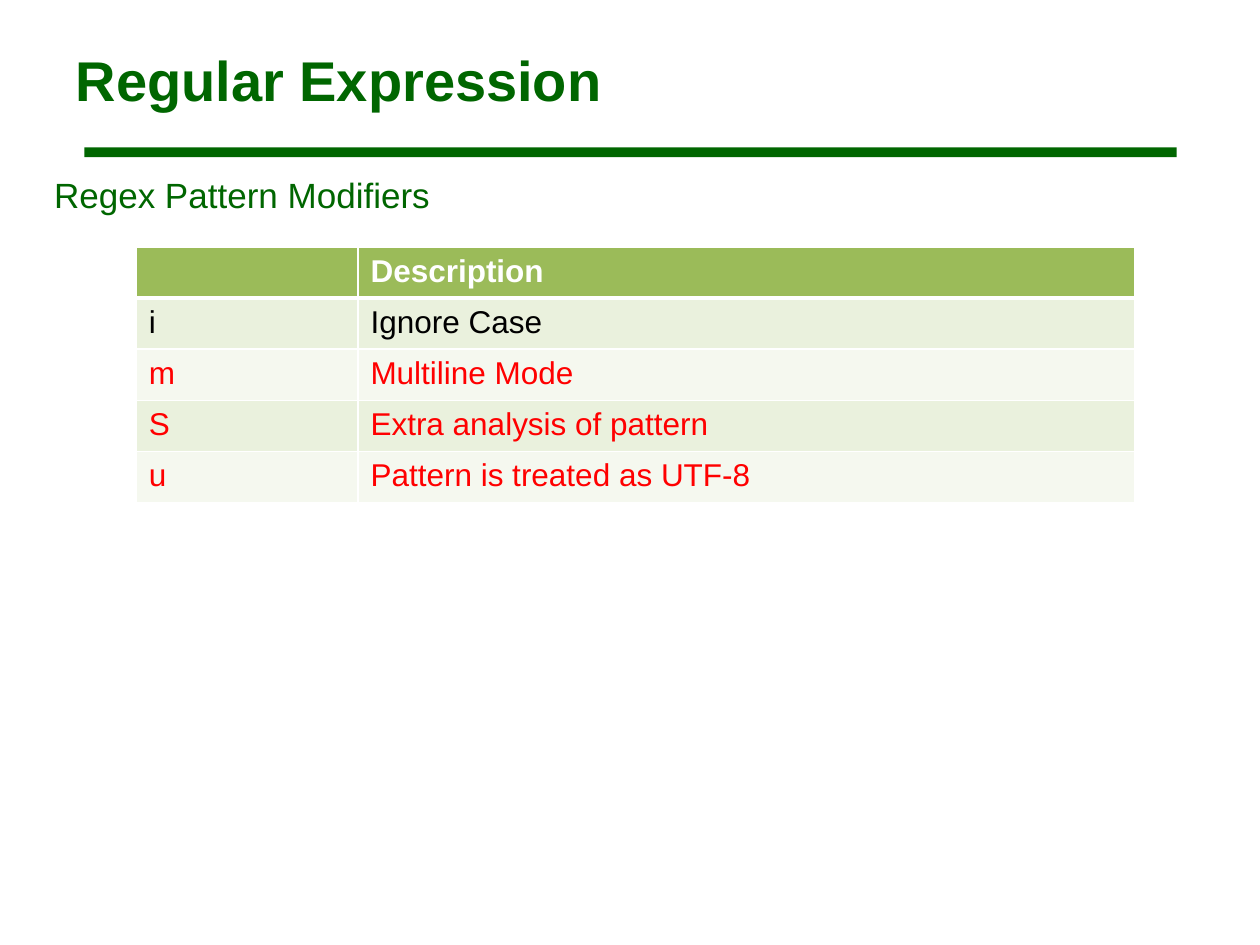
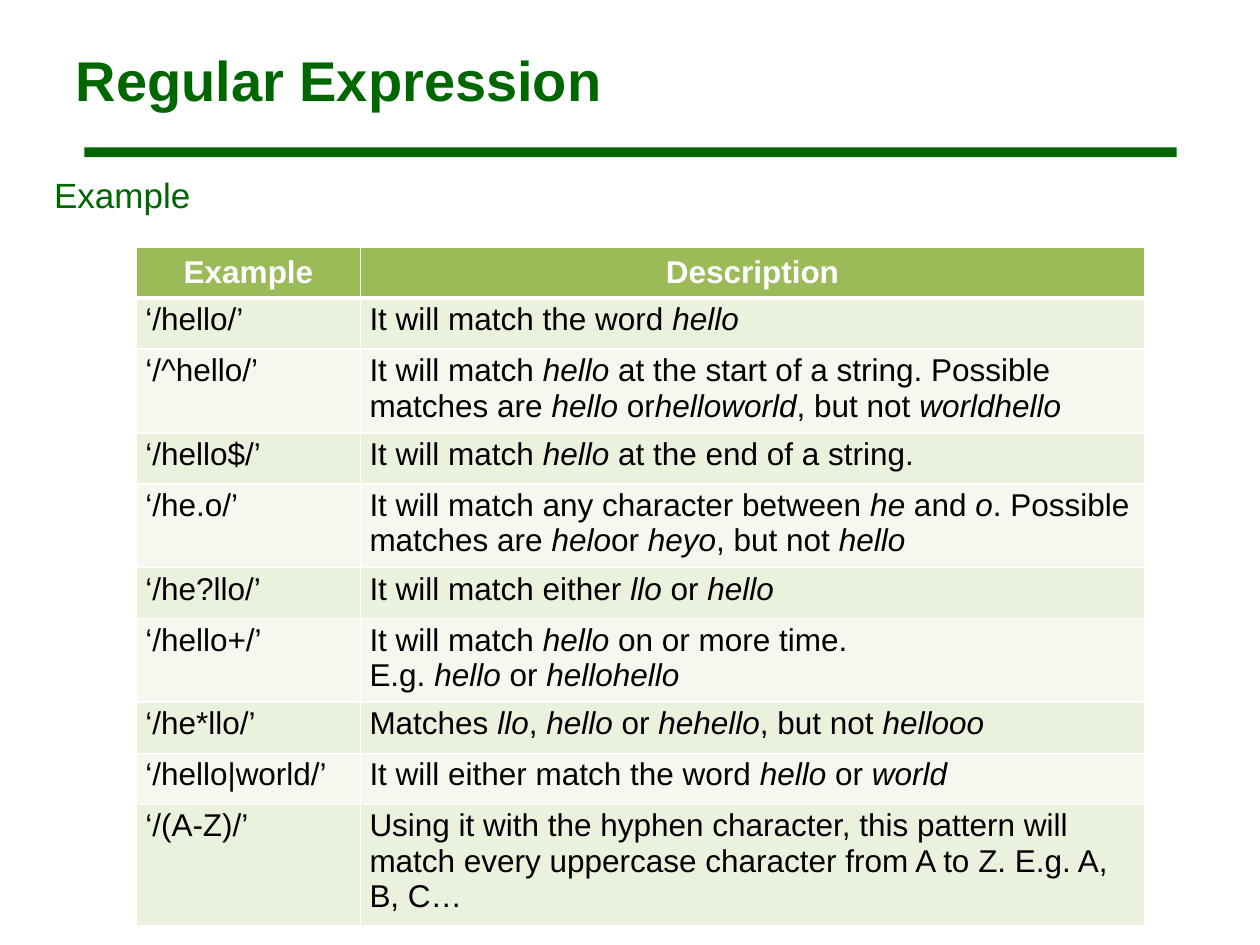
from lxml import etree
from pptx import Presentation
from pptx import util as u
from pptx.dml.color import RGBColor
from pptx.enum import shapes, text
from pptx.oxml.ns import qn

FONT = "Arial"
GREEN, WHITE, BLACK, RED = "006600", "FFFFFF", "000000", "FF0000"
HEADER, BANDS = "9BBB59", ("EAF1DD", "F5F8EF")
ROW_HEIGHT = 1.03
TITLE_BOX = (1.27, 0.43, 22.86, 2.34)
BAR_BOX = (1.7, 2.97, 22.02, 0.2)
HEADING_BOX = (0.84, 3.38, 14.4, 1.27)
TABLE_ORIGIN = (2.75, 4.98)

MODIFIERS = [
    ("", "Description"),
    ("i", "Ignore Case"),
    ("m", "Multiline Mode"),
    ("S", "Extra analysis of pattern"),
    ("u", "Pattern is treated as UTF-8"),
]
EXAMPLES = [
    ("Example", "Description"),
    ("‘/hello/’", "It will match the word _hello_"),
    ("‘/^hello/’", "It will match _hello_ at the start of a string. Possible matches are "
                   "_hello_ or_helloworld_, but not _worldhello_"),
    ("‘/hello$/’", "It will match _hello_ at the end of a string."),
    ("‘/he.o/’", "It will match any character between _he_ and _o_. Possible matches are "
                 "_helo_or _heyo_, but not _hello_"),
    ("‘/he?llo/’", "It will match either _llo_ or _hello_"),
    ("‘/hello+/’", "It will match _hello_ on or more time. E.g. _hello_ or _hellohello_"),
    ("‘/he*llo/’", "Matches _llo_, _hello_ or _hehello_, but not _hellooo_"),
    ("‘/hello|world/’", "It will either match the word _hello_ or _world_"),
    ("‘/(A-Z)/’", "Using it with the hyphen character, this pattern will match every "
                  "uppercase character from A to Z. E.g. A, B, C…"),
]


def rgb(value):
    """Return the colour for a hex string."""
    return RGBColor.from_string(value)


def cm(box):
    """Convert lengths in centimetres."""
    return [u.Cm(v) for v in box]


def style(r, size, color, bold=False, italic=False):
    """Format one run."""
    f = r.font
    f.name, f.size, f.bold, f.italic = FONT, u.Pt(size), bold, italic
    f.color.rgb = rgb(color)


def write_marked(p, marked, size, color, bold=False):
    """Write text whose underscored parts are italic and held by no-break spaces."""
    nbsp = chr(160)
    marked = marked.replace(" _", nbsp + "_").replace("_ ", "_" + nbsp)
    for i, part in enumerate(marked.split("_")):
        if part:
            r = p.add_run()
            r.text = part
            style(r, size, color, bold, i % 2 == 1)


def set_borders(cell, top, bottom):
    """Draw white cell borders, with top and bottom widths in points."""
    for side, width in (("L", 1), ("R", 1), ("T", top), ("B", bottom)):
        ln = etree.SubElement(cell._tc.get_or_add_tcPr(), qn(f"a:ln{side}"), w=str(u.Pt(width)))
        fill = etree.SubElement(ln, qn("a:solidFill"))
        etree.SubElement(fill, qn("a:srgbClr"), val=WHITE)


def set_up_layout(layout, s):
    """Place the title and the green bar on the layout, using a slide to make the bar."""
    title = layout.placeholders[0]
    title.left, title.top, title.width, title.height = cm(TITLE_BOX)
    bar = s.shapes.add_shape(shapes.MSO_SHAPE.RECTANGLE, *cm(BAR_BOX))
    bar.shadow.inherit = False
    bar.fill.solid()
    bar.fill.fore_color.rgb = rgb(GREEN)
    bar.line.fill.background()
    layout.shapes.element.append(bar.element)


def add_title(s, wording):
    """Fill the title placeholder."""
    tf = s.shapes.title.text_frame
    tf.text = wording
    tf.vertical_anchor = text.MSO_ANCHOR.MIDDLE
    p = tf.paragraphs[0]
    p.alignment = text.PP_ALIGN.LEFT
    style(p.runs[0], 32, GREEN, bold=True)


def add_heading(s, wording, box):
    """Add the heading above the table."""
    tf = s.shapes.add_textbox(*cm(box)).text_frame
    tf.word_wrap = True
    tf.text = wording
    style(tf.paragraphs[0].runs[0], 20, GREEN)


def add_regex_table(s, rows, origin, widths, margins, header_centred, red_from):
    """Add a banded two-column table; rows from red_from on are red."""
    box = (*origin, sum(widths), ROW_HEIGHT * len(rows))
    table = s.shapes.add_table(len(rows), len(widths), *cm(box)).table
    for column, width in zip(table.columns, widths):
        column.width = u.Cm(width)
    for i, row in enumerate(rows):
        table.rows[i].height = u.Cm(ROW_HEIGHT)
        header = i == 0
        color = WHITE if header else RED if i >= red_from else BLACK
        for j, wording in enumerate(row):
            cell = table.cell(i, j)
            set_borders(cell, 3 if i == 1 else 1, 3 if header else 1)
            cell.fill.solid()
            cell.fill.fore_color.rgb = rgb(HEADER if header else BANDS[(i - 1) % 2])
            cell.margin_left = cell.margin_right = u.Cm(margins[0])
            cell.margin_top = cell.margin_bottom = u.Cm(margins[1])
            p = cell.text_frame.paragraphs[0]
            if header and header_centred:
                cell.vertical_anchor = text.MSO_ANCHOR.MIDDLE
                p.alignment = text.PP_ALIGN.CENTER
            write_marked(p, wording, 18, color, header)


def add_regex_slide(prs, layout, heading, rows, **table_format):
    """Add a slide with title, heading and table."""
    s = prs.slides.add_slide(layout)
    add_title(s, "Regular Expression")
    add_heading(s, heading, HEADING_BOX)
    add_regex_table(s, rows, TABLE_ORIGIN, **table_format)
    return s


def main():
    """Build the presentation."""
    prs = Presentation()
    prs.slide_width, prs.slide_height = cm((25.4, 19.05))
    layout = prs.slide_layouts.get_by_name("Title Only")
    s = add_regex_slide(prs, layout, "Regex Pattern Modifiers", MODIFIERS, widths=(4.47, 15.65),
                        margins=(0.25, 0.13), header_centred=False, red_from=2)
    set_up_layout(layout, s)
    add_regex_slide(prs, layout, "Example", EXAMPLES, widths=(4.52, 15.8),
                    margins=(0.18, 0.08), header_centred=True, red_from=len(EXAMPLES))
    prs.save("out.pptx")


if __name__ == "__main__":
    main()
